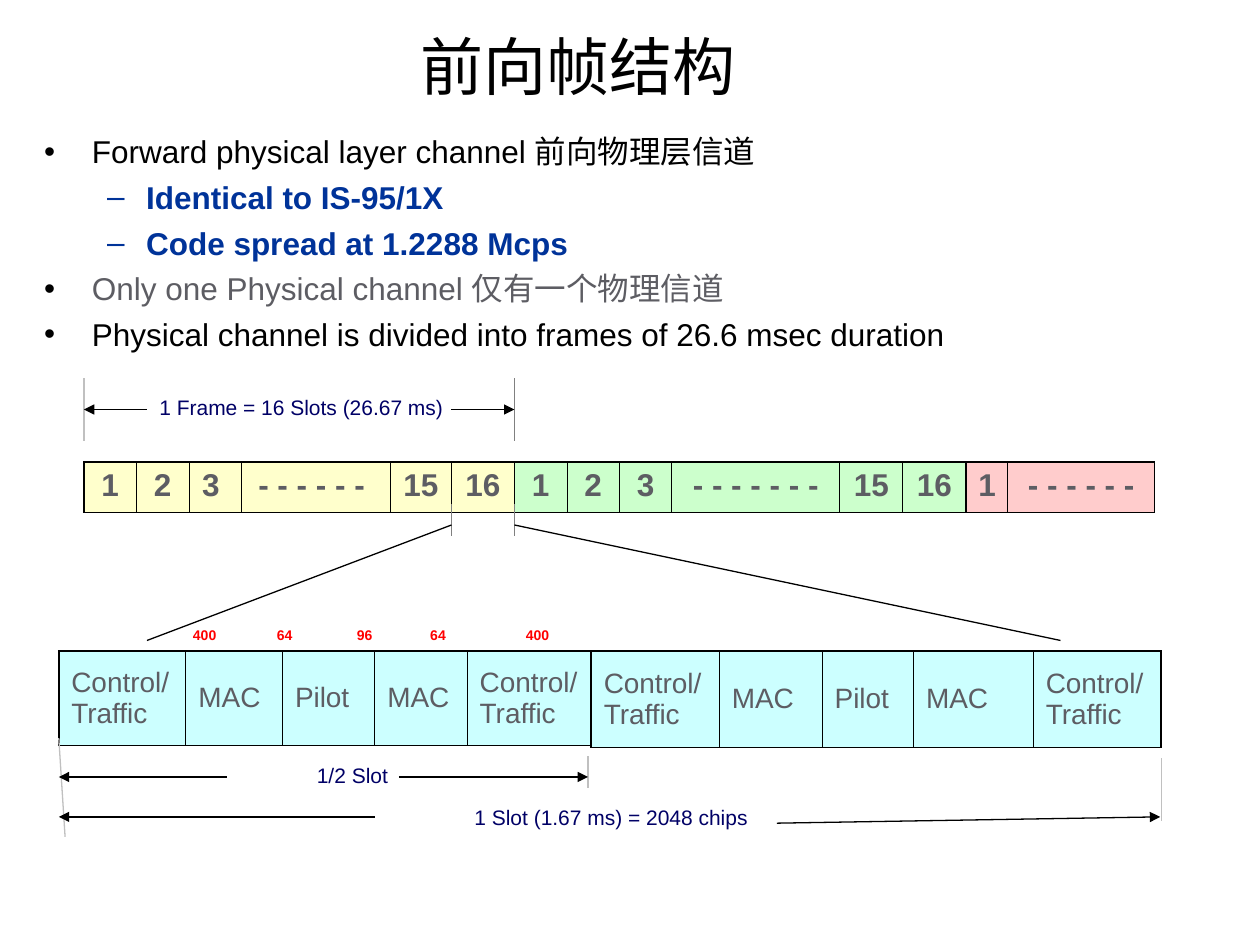
from dataclasses import dataclass

from lxml.etree import SubElement
from pptx import Presentation
from pptx.dml.color import RGBColor
from pptx.enum.shapes import MSO_CONNECTOR
from pptx.enum.text import MSO_ANCHOR, MSO_AUTO_SIZE, PP_ALIGN
from pptx.oxml import parse_xml
from pptx.oxml.ns import nsdecls, qn
from pptx.util import Inches, Pt


@dataclass(frozen=True)
class Theme:
    font: str = "Arial"
    black: str = "000000"
    grey: str = "5D5D63"
    blue: str = "003399"
    navy: str = "000066"
    red: str = "FF0000"
    light_guide: str = "C0C0C0"
    dark_guide: str = "808080"
    yellow: str = "FFFFCC"
    green: str = "CCFFCC"
    pink: str = "FFCCCC"
    cyan: str = "CCFFFF"
    title_size: float = 36
    body_size: float = 18
    cell_size: float = 16
    label_size: float = 12
    chip_size: float = 8
    thin: float = 0.45
    thick: float = 1.08
    line: float = 0.75


theme = Theme()
deck = Presentation()
deck.slide_width, deck.slide_height = Inches(10), Inches(7.5)
page = deck.slides.add_slide(deck.slide_layouts[1])
GRID = deck.slide_width / 120  # 120 columns by 90 rows of square cells


def write_text(para, text, size, color, bold=False, align=PP_ALIGN.LEFT, before=0):
    para.alignment = align
    para.space_before = Pt(before)
    span = para.add_run()
    span.text = text
    span.font.name = theme.font
    span.font.size = Pt(size)
    span.font.bold = bold
    span.font.color.rgb = RGBColor.from_string(color)


def draw_line(start, end, color=theme.black, arrow=False):
    points = [round(value * GRID) for value in (*start, *end)]
    line = page.shapes.add_connector(MSO_CONNECTOR.STRAIGHT, *points)
    line.line.color.rgb = RGBColor.from_string(color)
    line.line.width = Pt(theme.line)
    if arrow:
        SubElement(line.line._get_or_add_ln(), qn("a:tailEnd"), type="triangle")
    SubElement(line._element.spPr, qn("a:effectLst"))


# Title and bullet list in the template's placeholders
title, body = page.shapes.title, page.placeholders[1]
for box, area in ((title, (4, 2.2, 102, 8)), (body, (3, 12, 108, 24))):
    box.left, box.top, box.width, box.height = [round(value * GRID) for value in area]
    box.text_frame.auto_size = MSO_AUTO_SIZE.NONE
title.text_frame.vertical_anchor = MSO_ANCHOR.MIDDLE
write_text(title.text_frame.paragraphs[0], "前向帧结构",
           theme.title_size, theme.black, align=PP_ALIGN.CENTER)

bullets = [
    ("Forward physical layer channel 前向物理层信道", 0, theme.black),
    ("Identical to IS-95/1X", 1, theme.blue),
    ("Code spread at 1.2288 Mcps", 1, theme.blue),
    ("Only one Physical channel 仅有一个物理信道", 0, theme.grey),
    ("Physical channel is divided into frames of 26.6 msec duration", 0, theme.black),
]
levels = [("•", theme.black, 0.38, -0.38), ("–", theme.blue, 0.81, -0.31)]
for index, (text, level, color) in enumerate(bullets):
    frame = body.text_frame
    para = frame.add_paragraph() if index else frame.paragraphs[0]
    para.level = level
    mark, mark_color, margin, indent = levels[level]
    properties = para._p.get_or_add_pPr()
    properties.set("marL", str(Inches(margin)))
    properties.set("indent", str(Inches(indent)))
    SubElement(SubElement(properties, qn("a:buClr")), qn("a:srgbClr"), val=mark_color)
    SubElement(properties, qn("a:buChar"), char=mark)
    write_text(para, text, theme.body_size, color, bold=level == 1,
               before=4.5 if index else 0)

# Tables: left, top, height, cells (text, width, fill), thick column edges, format
frame_cells = [
    ("1", 5, theme.yellow), ("2", 5, theme.yellow), ("3 ", 5, theme.yellow),
    ("- - - - - - ", 14.2, theme.yellow), ("15", 5.8, theme.yellow), ("16", 6, theme.yellow),
    ("1", 5, theme.green), ("2", 5, theme.green), ("3", 5, theme.green),
    ("- - - - - - -", 16, theme.green), ("15", 6, theme.green), ("16", 6, theme.green),
    ("1", 4, theme.pink), ("- - - - - -", 14, theme.pink),
]
slot_parts = ["Control/Traffic", "MAC", "Pilot", "MAC", "Control/Traffic"]
slot_format = dict(size=theme.cell_size, color=theme.grey)
frame_format = dict(size=theme.body_size, color=theme.grey, bold=True, align=PP_ALIGN.CENTER)
first_half, second_half = [
    [(part, width, theme.cyan) for part, width in zip(slot_parts, widths)]
    for widths in ((12.1, 9.2, 8.8, 8.8, 12.1), (12.2, 9.8, 8.7, 11.4, 12.2))
]
tables = [
    (5.6, 62, 9, first_half, {0, 5}, MSO_ANCHOR.MIDDLE, slot_format),
    (56.3, 62, 9.2, second_half, {0, 5}, MSO_ANCHOR.MIDDLE, slot_format),
    (8, 44, 4.8, frame_cells, {0, 6, 12}, MSO_ANCHOR.TOP, frame_format),
]
for left, top, height, cells, thick_edges, anchor, text_format in tables:
    total = sum(width for _, width, _ in cells)
    area = [round(value * GRID) for value in (left, top, total, height)]
    table = page.shapes.add_table(1, len(cells), *area).table
    table.first_row = table.horz_banding = False
    for column, (text, width, fill) in enumerate(cells):
        table.columns[column].width = round(width * GRID)
        cell = table.cell(0, column)
        cell.vertical_anchor = anchor
        cell.fill.solid()
        cell.fill.fore_color.rgb = RGBColor.from_string(fill)
        write_text(cell.text_frame.paragraphs[0], text, **text_format)
        left_edge, right_edge = [
            theme.thick if edge in thick_edges else theme.thin for edge in (column, column + 1)
        ]
        borders = [("L", left_edge), ("R", right_edge), ("T", theme.thick), ("B", theme.thick)]
        for position, (side, weight) in enumerate(borders):
            cell._tc.get_or_add_tcPr().insert(position, parse_xml(
                f'<a:ln{side} {nsdecls("a")} w="{Pt(weight)}"><a:solidFill>'
                f'<a:srgbClr val="{theme.black}"/></a:solidFill></a:ln{side}>'))

# Guide lines
for start, end, color in [
    ((8, 36), (8, 42), theme.light_guide),
    ((49, 36), (49, 42), theme.dark_guide),
    ((49, 48), (49, 51), theme.dark_guide),
    ((43, 48), (43, 51), theme.dark_guide),
    ((5.6, 70.3), (6.2, 79.7), theme.light_guide),
    ((56, 72), (56, 75), theme.light_guide),
    ((110.6, 72.2), (110.6, 78.2), theme.light_guide),
]:
    draw_line(start, end, color)

# Slot 16 opening out into its parts
draw_line((43, 50), (14, 61))
draw_line((49, 50), (101, 61))

# Dimension arrows
for start, end in [
    ((43, 39), (49, 39)), ((14, 39), (8, 39)),
    ((35.7, 77.8), (5.6, 77.8)), ((74, 78.4), (110.5, 77.8)),
    ((38, 74), (56, 74)), ((21.6, 74), (5.6, 74)),
]:
    draw_line(start, end, arrow=True)

# Dimension labels and grouped chip counts
chips = page.shapes.add_group_shape()
label_format = dict(size=theme.label_size, color=theme.navy)
chip_format = dict(size=theme.chip_size, color=theme.red, bold=True)
labels = [
    (page.shapes, "1 Frame = 16 Slots (26.67 ms)", (14, 37, 31, 3.6), label_format),
    (page.shapes, "1 Slot (1.67 ms) = 2048 chips", (44, 76, 31, 3.6), label_format),
    (page.shapes, "1/2 Slot", (29, 72, 12, 3.6), label_format),
]
for text, left in [("400", 17.2), ("64", 25.2), ("96", 32.8), ("64", 39.8), ("400", 48.9)]:
    labels.append((chips.shapes, text, (left, 59.1, 4.8, 2.9), chip_format))
for shapes, text, area, text_format in labels:
    box = shapes.add_textbox(*[round(value * GRID) for value in area])
    box.text_frame.word_wrap = text_format is label_format
    box.text_frame.auto_size = MSO_AUTO_SIZE.SHAPE_TO_FIT_TEXT
    write_text(box.text_frame.paragraphs[0], text, **text_format)

deck.save("out.pptx")
